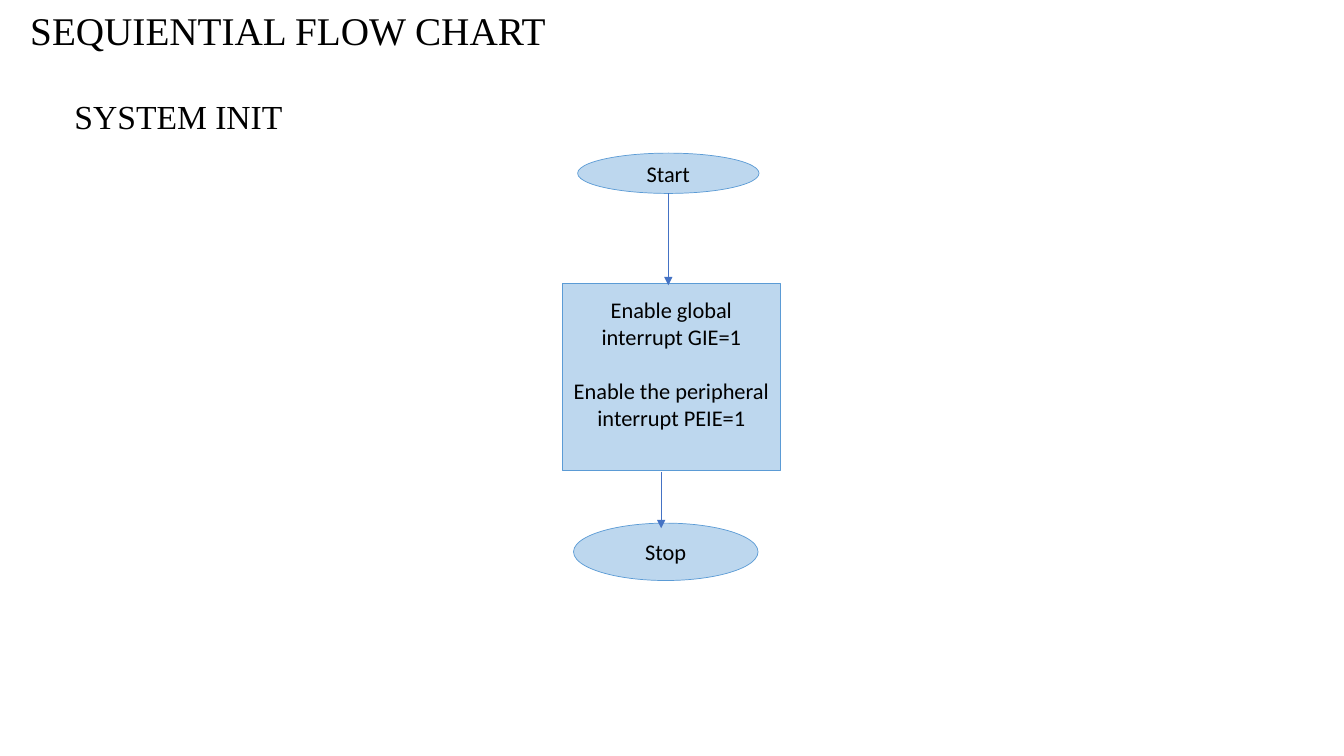
from lxml import etree
from pptx import Presentation
from pptx.dml.color import RGBColor
from pptx.enum.shapes import MSO_CONNECTOR, MSO_SHAPE
from pptx.enum.text import MSO_ANCHOR, MSO_AUTO_SIZE, PP_ALIGN
from pptx.oxml.ns import qn
from pptx.util import Pt

OVAL, RECTANGLE = MSO_SHAPE.OVAL, MSO_SHAPE.RECTANGLE
STRAIGHT = MSO_CONNECTOR.STRAIGHT
LEFT, CENTER = PP_ALIGN.LEFT, PP_ALIGN.CENTER
TOP, MIDDLE = MSO_ANCHOR.TOP, MSO_ANCHOR.MIDDLE
NO_AUTOSIZE = MSO_AUTO_SIZE.NONE
LINE_HEIGHT = 19.5


def color(value):
    return RGBColor.from_string(value)


def write(shape, text, size=16, font="Calibri", align=CENTER, anchor=MIDDLE, gap=0):
    frame = shape.text_frame
    frame.auto_size = NO_AUTOSIZE
    frame.word_wrap = True
    frame.vertical_anchor = anchor
    frame.text = text
    for para in frame.paragraphs:
        para.alignment = align
        para.space_after = Pt(gap)
        for span in para.runs:
            span.font.size = Pt(size)
            span.font.name = font
            span.font.color.rgb = color("000000")


deck = Presentation()
deck.slide_width, deck.slide_height = Pt(960), Pt(540)
page = deck.slides.add_slide(deck.slide_layouts[5])

title = page.shapes.title
title.left, title.top, title.width, title.height = Pt(14.4), Pt(0.7), Pt(404.6), Pt(41)
write(title, "SEQUIENTIAL FLOW CHART", size=28, font="Times New Roman", align=LEFT, anchor=TOP)

subtitle = page.shapes.add_textbox(Pt(46.1), Pt(64.8), Pt(187.2), Pt(36))
write(subtitle, "SYSTEM INIT", size=24, font="Times New Roman", align=LEFT, anchor=TOP)

interrupts = "Enable global interrupt GIE=1\nEnable the peripheral interrupt PEIE=1"
steps = [
    (OVAL, 412.6, 109.4, 129.6, 28.8, "Start", 0),
    (RECTANGLE, 401.8, 202.3, 155.5, 133.9, interrupts, LINE_HEIGHT),
    (OVAL, 409.7, 373.7, 131.8, 41, "Stop", 0),
]
for kind, left, top, width, height, text, gap in steps:
    box = page.shapes.add_shape(kind, Pt(left), Pt(top), Pt(width), Pt(height))
    box.shadow.inherit = False
    box.fill.solid()
    box.fill.fore_color.rgb = color("BDD7EE")
    box.line.color.rgb = color("5B9BD5")
    box.line.width = Pt(0.5)
    box.text_frame.margin_bottom = Pt(3.6 + gap)
    write(box, text, gap=gap)
    box.text_frame.paragraphs[-1].space_after = Pt(0)

for x, start, end in [(477.4, 138.2, 203.8), (472.3, 337, 377.3)]:
    arrow = page.shapes.add_connector(STRAIGHT, Pt(x), Pt(start), Pt(x), Pt(end))
    arrow.line.color.rgb = color("4472C4")
    arrow.line.width = Pt(0.5)
    properties = arrow.element.spPr
    etree.SubElement(properties.find(qn("a:ln")), qn("a:tailEnd"), type="triangle")
    etree.SubElement(properties, qn("a:effectLst"))

deck.save("out.pptx")
